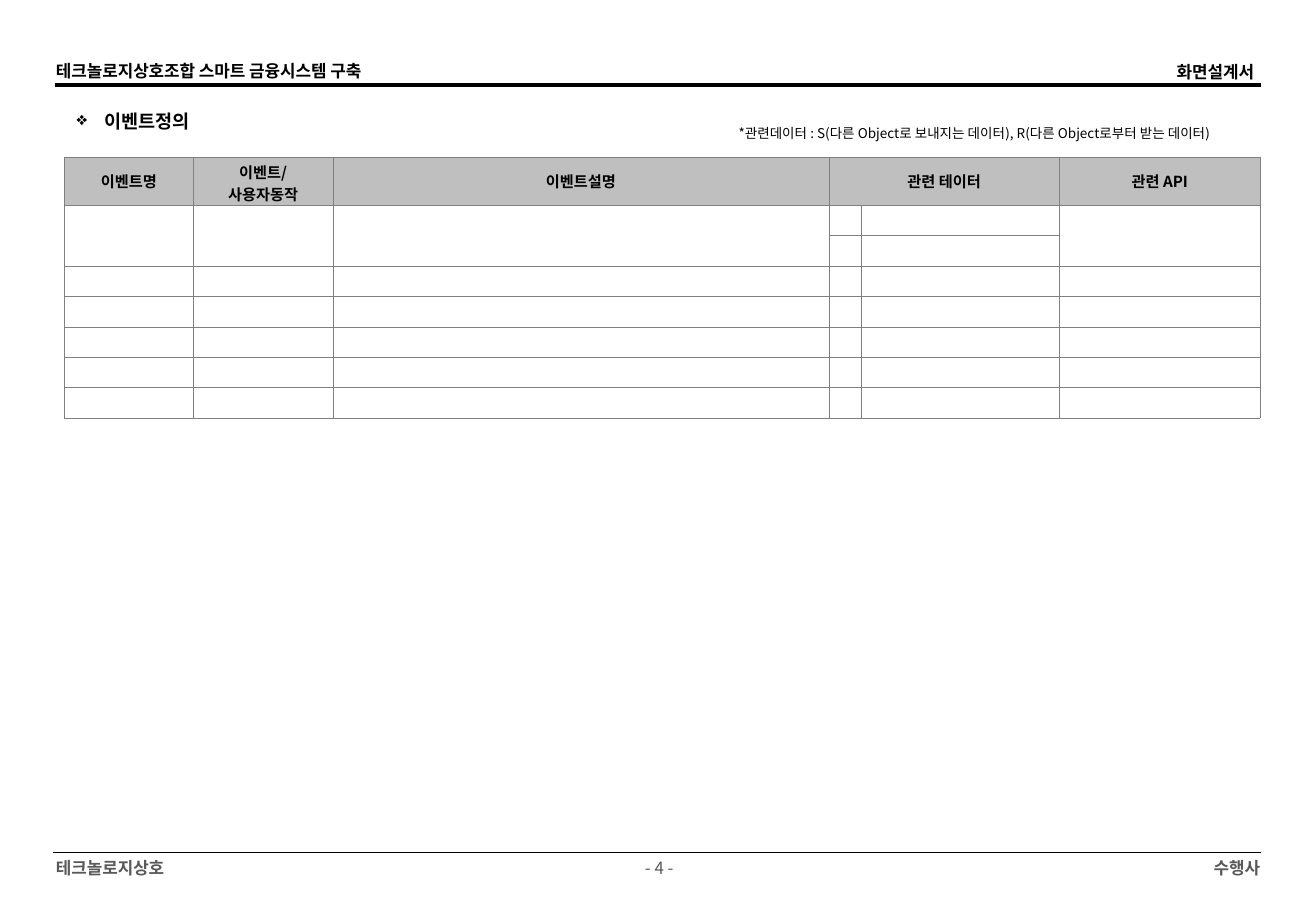
from dataclasses import dataclass

from lxml.etree import SubElement
from pptx import Presentation
from pptx.dml.color import RGBColor
from pptx.enum.shapes import MSO_CONNECTOR
from pptx.enum.text import MSO_ANCHOR as Anchor, MSO_AUTO_SIZE as AutoSize, PP_ALIGN as Align
from pptx.oxml.ns import qn
from pptx.util import Inches, Pt

FONT = "Noto Sans CJK KR"
BLACK, DARK_GRAY, MID_GRAY, LIGHT_GRAY, WHITE = "000000", "595959", "808080", "BFBFBF", "FFFFFF"


@dataclass(frozen=True)
class Label:
    text: str
    left: float
    top: float
    width: float
    height: float
    color: str = BLACK
    size: float = 10
    bold: bool = True
    align: Align = Align.LEFT
    inset: bool = False


@dataclass(frozen=True)
class Rule:
    left: float
    right: float
    y: float
    weight: float


LABELS = [
    Label("- 4 -", 5.13, 7.01, 0.59, 0.27, DARK_GRAY, bold=False, align=Align.CENTER, inset=True),
    Label("테크놀로지상호", 0.46, 7.06, 0.98, 0.17, DARK_GRAY),
    Label("수행사", 9.87, 7.06, 0.5, 0.17, DARK_GRAY, align=Align.RIGHT),
    Label("테크놀로지상호조합 스마트 금융시스템 구축", 0.46, 0.5, 2.81, 0.17),
    Label("화면설계서", 9.62, 0.51, 0.7, 0.17, align=Align.RIGHT),
    Label("*관련데이터 : S(다른 Object로 보내지는 데이터), R(다른 Object로부터 받는 데이터)",
          5.98, 0.98, 4.4, 0.24, size=8, bold=False, inset=True),
]
RULES = [Rule(0.44, 10.38, 7.02, 0.75), Rule(0.45, 10.38, 0.7, 2.75)]

COLUMN_WIDTHS = [1.06, 1.15, 4.08, 0.27, 1.63, 1.65]
HEADERS = ["이벤트명", "이벤트/\n사용자동작", "이벤트설명", "관련 테이터", "", "관련 API"]
HEADER_HEIGHT, ROW_HEIGHT, BODY_ROWS = 0.4, 0.25, 7
TWO_ROW_COLUMNS = [0, 1, 2, 5]


def rgb(color: str) -> RGBColor:
    return RGBColor.from_string(color)


def style_paragraph(paragraph, size: float, color: str, bold: bool, align: Align) -> None:
    paragraph.alignment = align
    font = paragraph.font
    font.size, font.bold, font.name = Pt(size), bold, FONT
    font.color.rgb = rgb(color)
    # Korean glyphs take the East Asian typeface.
    defaults = paragraph._p.pPr.find(qn("a:defRPr"))
    SubElement(defaults, qn("a:ea"), typeface=FONT)
    if not paragraph.runs:
        SubElement(paragraph._p, qn("a:endParaRPr"), sz=str(int(size * 100)))


def add_label(slide, label: Label) -> None:
    box = slide.shapes.add_textbox(*map(Inches, (label.left, label.top, label.width, label.height)))
    frame = box.text_frame
    frame.word_wrap = False
    if not label.inset:
        frame.margin_left = frame.margin_right = frame.margin_top = frame.margin_bottom = 0
    frame.text = label.text
    style_paragraph(frame.paragraphs[0], label.size, label.color, label.bold, label.align)


def add_rule(slide, rule: Rule) -> None:
    line = slide.shapes.add_connector(
        MSO_CONNECTOR.STRAIGHT, *map(Inches, (rule.left, rule.y, rule.right, rule.y)))
    line.line.color.rgb = rgb(BLACK)
    line.line.width = Pt(rule.weight)
    SubElement(line._element.spPr, qn("a:effectLst"))


def set_title(slide) -> None:
    title = slide.shapes.title
    title.left, title.top, title.width, title.height = map(Inches, (0.53, 0.76, 1.22, 0.34))
    frame = title.text_frame
    frame.text = "이벤트정의"
    frame.word_wrap = False
    frame.auto_size = AutoSize.NONE
    frame.vertical_anchor = Anchor.TOP
    paragraph = frame.paragraphs[0]
    paragraph.line_spacing = 1.5
    style_paragraph(paragraph, 11, BLACK, True, Align.LEFT)
    properties = paragraph._p.pPr
    indent = Inches(0.23)
    properties.set("marL", str(indent))
    properties.set("indent", str(-indent))
    bullet = SubElement(properties, qn("a:buChar"), char="❖")
    properties.find(qn("a:defRPr")).addprevious(bullet)


def set_borders(cell) -> None:
    properties = cell._tc.get_or_add_tcPr()
    for position, side in enumerate(("lnL", "lnR", "lnT", "lnB")):
        border = SubElement(properties, qn(f"a:{side}"), w=str(Pt(0.25)))
        fill = SubElement(border, qn("a:solidFill"))
        SubElement(fill, qn("a:srgbClr"), val=MID_GRAY)
        properties.insert(position, border)


def format_cell(cell, text: str, fill: str) -> None:
    cell.text = text
    cell.vertical_anchor = Anchor.MIDDLE
    cell.margin_top, cell.margin_bottom = Inches(0.03 if "\n" in text else 0), 0
    cell.fill.solid()
    cell.fill.fore_color.rgb = rgb(fill)
    for paragraph in cell.text_frame.paragraphs:
        style_paragraph(paragraph, 9, BLACK, True, Align.CENTER)
    set_borders(cell)


def add_event_table(slide) -> None:
    height = HEADER_HEIGHT + BODY_ROWS * ROW_HEIGHT
    table = slide.shapes.add_table(
        BODY_ROWS + 1, len(COLUMN_WIDTHS),
        *map(Inches, (0.53, 1.29, sum(COLUMN_WIDTHS), height))).table
    table.first_row = table.horz_banding = False
    for column, width in zip(table.columns, COLUMN_WIDTHS):
        column.width = Inches(width)
    for index, row in enumerate(table.rows):
        row.height = Inches(ROW_HEIGHT if index else HEADER_HEIGHT)
        for cell, header in zip(row.cells, HEADERS):
            format_cell(cell, "" if index else header, WHITE if index else LIGHT_GRAY)
    table.cell(0, 3).merge(table.cell(0, 4))
    for column in TWO_ROW_COLUMNS:
        table.cell(1, column).merge(table.cell(2, column))


def main() -> None:
    presentation = Presentation()
    presentation.slide_width, presentation.slide_height = Inches(10.83), Inches(7.5)
    slide = presentation.slides.add_slide(presentation.slide_layouts[5])
    for rule in RULES:
        add_rule(slide, rule)
    set_title(slide)
    add_event_table(slide)
    for label in LABELS:
        add_label(slide, label)
    presentation.save("out.pptx")


if __name__ == "__main__":
    main()
